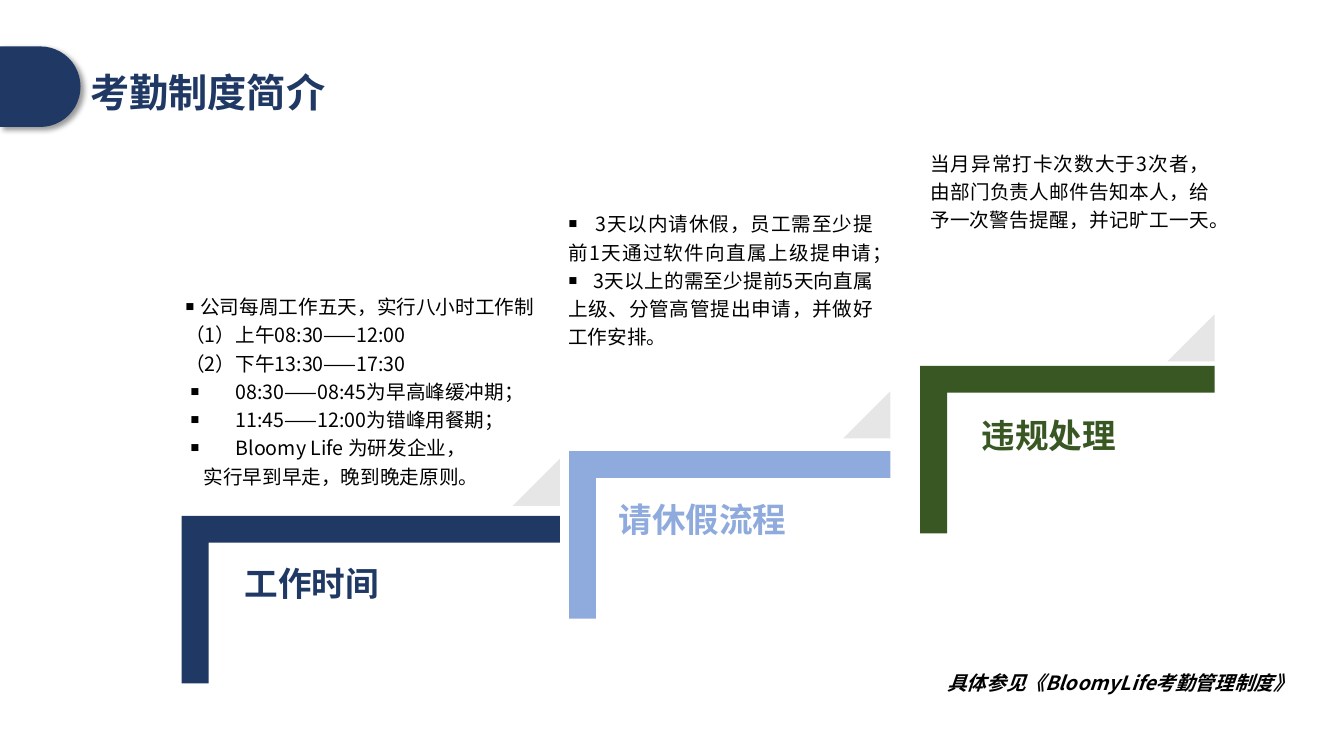
"""Build the attendance rules slide with three rising steps."""
from lxml.etree import SubElement
from pptx import Presentation
from pptx.dml.color import RGBColor
from pptx.enum.shapes import MSO_SHAPE
from pptx.enum.text import MSO_AUTO_SIZE, PP_ALIGN
from pptx.oxml.ns import qn
from pptx.util import Cm, Pt

NAVY = RGBColor(0x20, 0x38, 0x64)
SKY = RGBColor(0x8F, 0xAA, 0xDC)
GREEN = RGBColor(0x38, 0x57, 0x23)
GREY = RGBColor(0xE7, 0xE6, 0xE6)
BLACK = RGBColor(0, 0, 0)
FONT = "Noto Sans CJK SC"
THICK = 4.22
SIDE = 1.19

deck = Presentation()
deck.slide_width, deck.slide_height = Cm(33.87), Cm(19.05)
slide = deck.slides.add_slide(deck.slide_layouts[6])


def add_form(kind, left, top, width, height, color):
    form = slide.shapes.add_shape(kind, Cm(left), Cm(top), Cm(width), Cm(height))
    form.shadow.inherit = False
    form.fill.solid()
    form.fill.fore_color.rgb = color
    form.line.fill.background()
    return form


def add_text(area, lines, size, color, bold=False, wrap=True):
    """Each line is its text, first-line indent and tab stop."""
    box = slide.shapes.add_textbox(*[Cm(n) for n in area])
    frame = box.text_frame
    frame.word_wrap = wrap
    frame.auto_size = MSO_AUTO_SIZE.SHAPE_TO_FIT_TEXT
    frame.text = "\n".join(text for text, indent, stop in lines)
    for para, (text, indent, stop) in zip(frame.paragraphs, lines):
        props = para._p.get_or_add_pPr()
        if indent:
            props.set("marL", "0")
            props.set("indent", str(Cm(indent)))
        if stop:
            tabs = SubElement(props, qn("a:tabLst"))
            SubElement(tabs, qn("a:tab"), pos=str(Cm(stop)), algn="l")
        for run in para.runs:
            run.font.size = Pt(size)
            run.font.bold = bold
            run.font.color.rgb = color
            run.font.name = FONT
            SubElement(run._r.get_or_add_rPr(), qn("a:ea"), typeface=FONT)
    return frame


badge = add_form(MSO_SHAPE.FLOWCHART_DELAY, 0, 1.17, 2.03, 2.03, NAVY)
effects = badge._element.spPr.find(qn("a:effectLst"))
shade = SubElement(effects, qn("a:outerShdw"), blurRad=str(Pt(4)),
                   dist=str(Pt(3)), dir="2700000", algn="tl", rotWithShape="0")
tint = SubElement(shade, qn("a:srgbClr"), val="000000")
SubElement(tint, qn("a:alpha"), val="40000")
add_text((2.03, 1.6, 6.5, 1.45), [("考勤制度简介", 0, 0)], 28, NAVY, True, False)

steps = [
    ("工作时间", NAVY, 4.58, 13, 9.53, 11.56, (5.92, 14.07, 3.94, 1.27)),
    ("请休假流程", SKY, 14.34, 11.37, 8.1, 9.86, (15.34, 12.45, 4.78, 1.27)),
    ("违规处理", GREEN, 23.19, 9.22, 7.42, 7.92, (24.49, 10.34, 3.94, 1.27)),
]
for name, color, left, top, width, peak, area in steps:
    shift = (width - THICK) / 2
    step = add_form(MSO_SHAPE.CORNER, left + shift, top - shift, THICK, width, color)
    step.rotation = 90
    step.adjustments[0] = step.adjustments[1] = 0.16
    flag = add_form(MSO_SHAPE.ISOSCELES_TRIANGLE, left + width - SIDE, peak,
                    SIDE, SIDE, GREY)
    flag.adjustments[0] = 1
    add_text(area, [(name, 0, 0)], 24, color, True, False)

notes = [
    ((4.34, 7.14, 9.53, 5.64), [
        ("￭\t公司每周工作五天，实行八小时工作制", 0, 0.38),
        ("（1）上午08:30——12:00", 0, 0),
        ("（2）下午13:30——17:30", 0, 0),
        ("￭\t08:30——08:45为早高峰缓冲期；", 0.12, 0.58),
        ("￭\t11:45——12:00为错峰用餐期；", 0.12, 0.58),
        ("￭\tBloomy Life 为研发企业，", 0.12, 0.58),
        ("实行早到早走，晚到晚走原则。", 0.46, 0),
    ]),
    ((14.07, 5.11, 8.18, 3.78), [
        ("￭\t3天以内请休假，员工需至少提前1天通过软件向直属上级提申请；", 0, 0.64),
        ("￭\t3天以上的需至少提前5天向直属上级、分管高管提出申请，并做好工作安排。", 0, 0.64),
    ]),
    ((23.19, 3.58, 7.54, 2.36), [
        ("当月异常打卡次数大于3次者，由部门负责人邮件告知本人，给予一次警告提醒，并记旷工一天。", 0, 0),
    ]),
]
frames = [add_text(area, lines, 14, BLACK) for area, lines in notes]
for frame in frames:
    for para in frame.paragraphs:
        para.alignment = PP_ALIGN.JUSTIFY
        para.line_spacing = 1.2
hours = frames[0]
hours.auto_size = MSO_AUTO_SIZE.NONE
hours.margin_left = hours.margin_right = Cm(0.33)
hours.margin_top = hours.margin_bottom = Cm(0.18)

source = add_text((23.62, 16.79, 10.24, 0.86),
                  [("具体参见《BloomyLife考勤管理制度》", 0, 0)], 14, BLACK, True)
source.paragraphs[0].runs[0].font.italic = True

deck.save("out.pptx")
